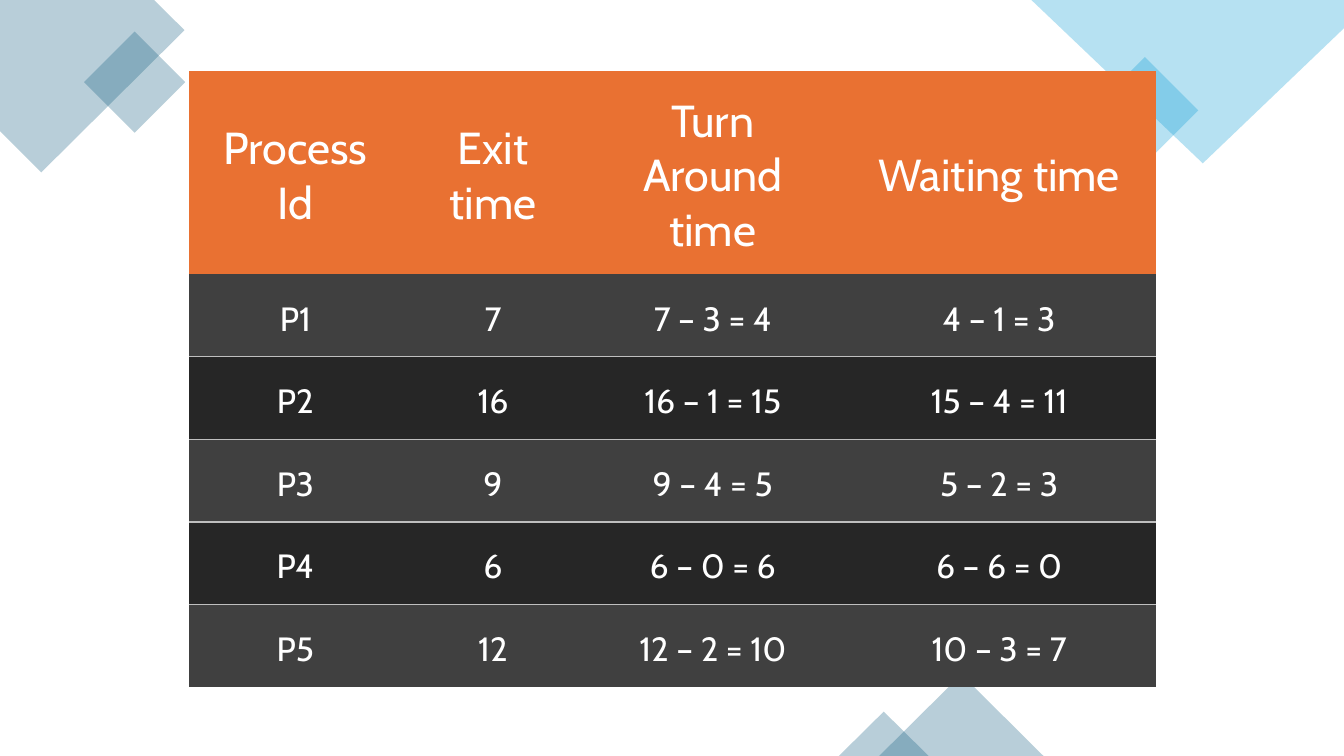
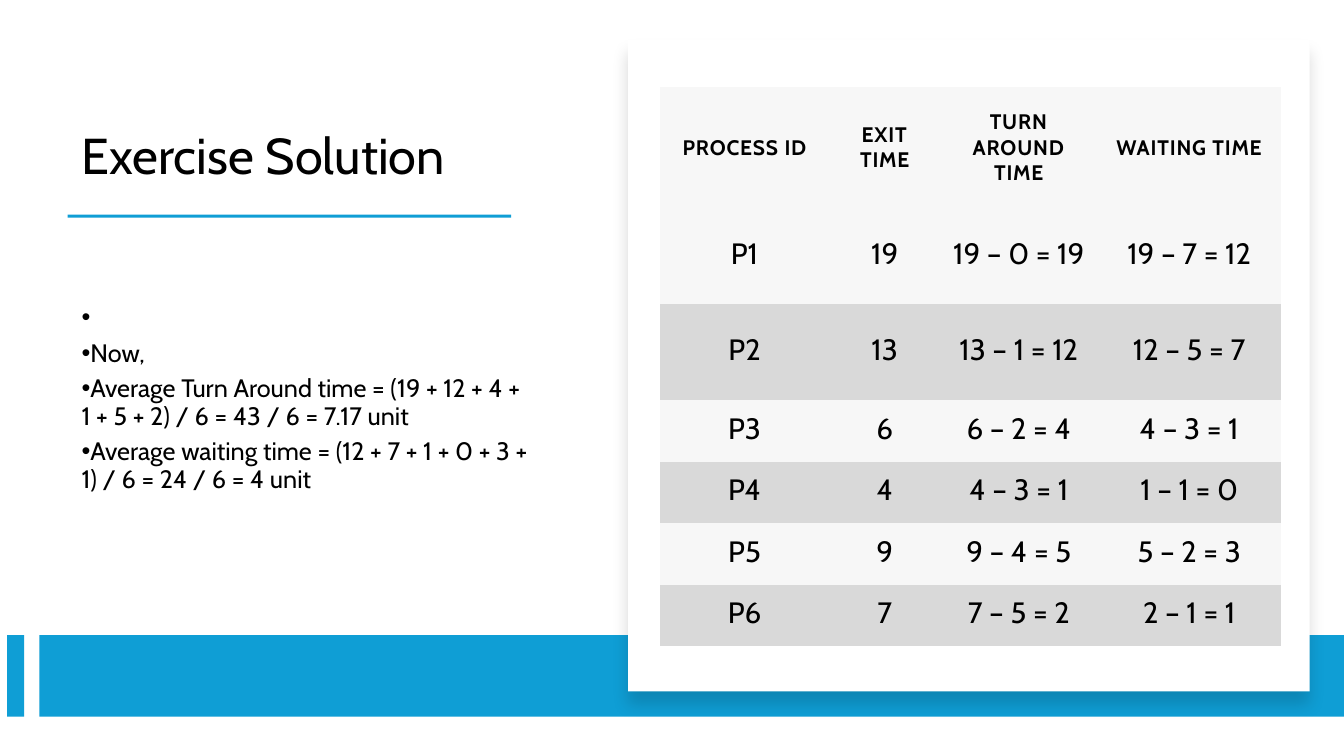
import pptx
import pptx.util
import pptx.dml.color
import pptx.enum.shapes
import pptx.enum.text
import pptx.oxml
import pptx.oxml.ns
from collections import namedtuple

Inches = pptx.util.Inches
Pt = pptx.util.Pt
RGBColor = pptx.dml.color.RGBColor
SHAPE = pptx.enum.shapes.MSO_SHAPE
ALIGN = pptx.enum.text.PP_ALIGN
ANCHOR = pptx.enum.text.MSO_ANCHOR
qn = pptx.oxml.ns.qn

FONT = "Cabin"
WHITE = RGBColor(0xFF, 0xFF, 0xFF)
BLACK = RGBColor(0x00, 0x00, 0x00)
TEAL = RGBColor(0x15, 0x60, 0x82)
BLUE = RGBColor(0x0F, 0x9E, 0xD5)
ORANGE = RGBColor(0xE9, 0x71, 0x32)
DARK_GRAY = RGBColor(0x40, 0x40, 0x40)
DARKER_GRAY = RGBColor(0x26, 0x26, 0x26)
RULE_GRAY = RGBColor(0xBF, 0xBF, 0xBF)
PALE_GRAY = RGBColor(0xF7, 0xF7, 0xF7)
MID_GRAY = RGBColor(0xD9, 0xD9, 0xD9)
NO_STYLE = "{2D5ABB26-0587-4C30-8999-92F81FD0307C}"

Box = namedtuple("Box", "left top width height")
RowStyle = namedtuple("RowStyle", "size color bold spacing margins")

DARK_HEADER = RowStyle(32, WHITE, False, 0, (0.17, 0.2, 0.17, 0.13))
DARK_BODY = DARK_HEADER._replace(size=24)
LIGHT_HEADER = RowStyle(15, BLACK, True, 0.6, (0.19, 0.19, 0.19, 0.19))
LIGHT_BODY = RowStyle(21, BLACK, False, 0, (0.11, 0.09, 0.11, 0.13))

FIRST_RESULTS = [
    ["Process Id", "Exit time", "Turn Around time", "Waiting time"],
    ["P1", "7", "7 – 3 = 4", "4 – 1 = 3"],
    ["P2", "16", "16 – 1 = 15", "15 – 4 = 11"],
    ["P3", "9", "9 – 4 = 5", "5 – 2 = 3"],
    ["P4", "6", "6 – 0 = 6", "6 – 6 = 0"],
    ["P5", "12", "12 – 2 = 10", "10 – 3 = 7"],
]
SECOND_RESULTS = [
    ["PROCESS ID", "EXIT TIME", "TURN AROUND TIME", "WAITING TIME"],
    ["P1", "19", "19 – 0 = 19", "19 – 7 = 12"],
    ["P2", "13", "13 – 1 = 12", "12 – 5 = 7"],
    ["P3", "6", "6 – 2 = 4", "4 – 3 = 1"],
    ["P4", "4", "4 – 3 = 1", "1 – 1 = 0"],
    ["P5", "9", "9 – 4 = 5", "5 – 2 = 3"],
    ["P6", "7", "7 – 5 = 2", "2 – 1 = 1"],
]
AVERAGES = [
    "\u00a0",
    "Now,",
    "Average Turn Around time = (19 + 12 + 4 + 1 + 5 + 2) / 6 = 43 / 6 = 7.17 unit",
    "Average waiting time = (12 + 7 + 1 + 0 + 3 + 1) / 6 = 24 / 6 = 4 unit",
]


def xml(markup):
    """Parse a fragment whose root is in the drawing namespace."""
    head, tail = markup.split(" ", 1)
    return pptx.oxml.parse_xml(f"{head} {pptx.oxml.ns.nsdecls('a')} {tail}")


def inches(box):
    """Turn the numbers of a box into lengths."""
    return [Inches(value) for value in box]


def paint(shape, color, opacity=100):
    """Give a shape a flat fill with no outline or shadow."""
    shape.shadow.inherit = False
    shape.line.fill.background()
    shape.fill.solid()
    shape.fill.fore_color.rgb = color
    if opacity < 100:
        shade = shape.element.find(".//" + qn("a:srgbClr"))
        shade.append(xml(f'<a:alpha val="{opacity * 1000}"/>'))
    return shape


def add_block(page, kind, box, color, opacity=100):
    """Add a painted preset shape."""
    return paint(page.shapes.add_shape(kind, *inches(box)), color, opacity)


def add_outline(page, points, color, opacity):
    """Add a painted polygon through points on the page."""
    corners = [(Inches(x), Inches(y)) for x, y in points]
    builder = page.shapes.build_freeform(*corners[0], scale=1.0)
    builder.add_line_segments(corners[1:], close=True)
    paint(builder.convert_to_shape(), color, opacity)


def add_span(para, text, size, color, bold=False):
    """Add one formatted run."""
    span = para.add_run()
    span.text = text
    span.font.name = FONT
    span.font.size = Pt(size)
    span.font.bold = bold
    span.font.color.rgb = color
    return span


def fill_cell(cell, text, style, color, rules):
    """Write and format one table cell, with rules on the given sides."""
    cell.fill.solid()
    cell.fill.fore_color.rgb = color
    cell.vertical_anchor = ANCHOR.MIDDLE
    (cell.margin_left, cell.margin_top,
     cell.margin_right, cell.margin_bottom) = inches(style.margins)
    para = cell.text_frame.paragraphs[0]
    para.alignment = ALIGN.CENTER
    span = add_span(para, text, style.size, style.color, style.bold)
    if style.spacing:
        span._r.get_or_add_rPr().set("spc", str(round(style.spacing * 100)))
    for side in rules:
        cell._tc.get_or_add_tcPr().insert(0, xml(
            f'<a:ln{side} w="12700"><a:solidFill><a:srgbClr val="{RULE_GRAY}"/>'
            f'</a:solidFill></a:ln{side}>'))


def add_results(page, box, rows, widths, heights, header, body, colors, ruled=False):
    """Add a table with a header row and two alternating row colours."""
    frame = page.shapes.add_table(len(rows), len(widths), *inches(box))
    frame.element.find(".//" + qn("a:tableStyleId")).text = NO_STYLE
    table = frame.table
    table.first_row = table.horz_banding = False
    for column, width in zip(table.columns, widths):
        column.width = Inches(width)
    for index, (texts, height) in enumerate(zip(rows, heights)):
        table.rows[index].height = Inches(height)
        style = body if index else header
        color = colors[2 - index % 2] if index else colors[0]
        if index % 2:
            color = colors[1]
        rules = ""
        if ruled and 0 < index < len(rows) - 1:
            rules = "B" if index % 2 else "T"
        for column, text in enumerate(texts):
            fill_cell(table.cell(index, column), text, style, color, rules)


def add_diamonds(page):
    """Scatter translucent diamonds along the page edges."""
    add_outline(page, [(1.53, 0), (0, 0), (0, 1.3), (0.41, 1.71), (1.83, 0.3)], TEAL, 30)
    for box, color in [(Box(0.98, 0.46, 0.71, 0.71), TEAL),
                       (Box(10.98, 0.72, 0.75, 0.75), BLUE)]:
        add_block(page, SHAPE.RECTANGLE, box, color, 30).rotation = 45
    add_outline(page, [(13.33, 0), (10.23, 0), (11.93, 1.62), (13.33, 0.28)], BLUE, 30)
    for box in [Box(8.72, 6.69, 1.63, 0.81), Box(8.32, 7.06, 0.89, 0.44)]:
        add_block(page, SHAPE.ISOSCELES_TRIANGLE, box, TEAL, 30)


def place_text(holder, box, anchor):
    """Move a placeholder and return its text frame."""
    holder.left, holder.top, holder.width, holder.height = inches(box)
    frame = holder.text_frame
    frame.word_wrap = True
    frame.auto_size = pptx.enum.text.MSO_AUTO_SIZE.NONE
    frame.vertical_anchor = anchor
    return frame


def add_heading(page, box, text):
    """Fill the title and underline it."""
    frame = place_text(page.shapes.title, box, ANCHOR.BOTTOM)
    para = frame.paragraphs[0]
    para.alignment = ALIGN.LEFT
    para.line_spacing = 0.9
    add_span(para, text, 36, BLACK)
    rule = Box(box.left - 0.04, box.top + box.height + 0.24, 4.4, 0.03)
    add_block(page, SHAPE.RECTANGLE, rule, BLUE)


def add_bullets(page, box, lines):
    """Fill the body placeholder with a bulleted list."""
    frame = place_text(page.placeholders[1], box, ANCHOR.MIDDLE)
    for index, line in enumerate(lines):
        para = frame.add_paragraph() if index else frame.paragraphs[0]
        para.alignment = ALIGN.LEFT
        para.line_spacing = 0.9
        para.space_before = Pt(0)
        para.space_after = Pt(6)
        props = para._p.get_or_add_pPr()
        props.set("marL", "0")
        props.set("indent", str(-Inches(0.25)))
        props.append(xml('<a:buChar char="•"/>'))
        add_span(para, line, 18, BLACK)


def add_card(page, box):
    """Add a white card with a soft shadow below it."""
    card = add_block(page, SHAPE.RECTANGLE, box, WHITE)
    card.element.spPr.find(qn("a:effectLst")).append(xml(
        f'<a:outerShdw blurRad="{Pt(11)}" dist="{Pt(10)}" dir="5400000" algn="t" '
        f'rotWithShape="0"><a:srgbClr val="{BLACK}"><a:alpha val="15000"/>'
        '</a:srgbClr></a:outerShdw>'))


def add_band(page, box):
    """Add the footer band with its detached left end."""
    add_block(page, SHAPE.RECTANGLE, box._replace(width=0.17), BLUE)
    offset = 0.32
    add_block(page, SHAPE.RECTANGLE,
              box._replace(left=box.left + offset, width=box.width - offset), BLUE)


def build_table_slide(deck):
    """Build the slide with a dark table among diamonds."""
    page = deck.slides.add_slide(deck.slide_layouts[6])
    add_diamonds(page)
    add_results(page, Box(1.87, 0.7, 9.6, 6.12), FIRST_RESULTS,
                [2.12, 1.8, 2.56, 3.12], [2.02] + [0.82] * 5,
                DARK_HEADER, DARK_BODY, (ORANGE, DARK_GRAY, DARKER_GRAY), ruled=True)


def build_solution_slide(deck):
    """Build the slide with averages beside a table on a card."""
    page = deck.slides.add_slide(deck.slide_layouts[1])
    add_heading(page, Box(0.71, 0.58, 4.68, 1.31), "Exercise Solution")
    add_bullets(page, Box(0.71, 2.22, 4.68, 3.48), AVERAGES)
    add_band(page, Box(0.07, 6.3, 13.26, 0.81))
    add_card(page, Box(6.23, 0.39, 6.76, 6.47))
    add_results(page, Box(6.55, 0.86, 6.16, 5.55), SECOND_RESULTS,
                [1.67, 1.11, 1.55, 1.83], [1.21] + [0.95] * 2 + [0.61] * 4,
                LIGHT_HEADER, LIGHT_BODY, (PALE_GRAY, PALE_GRAY, MID_GRAY))


def main():
    """Build and save the deck."""
    deck = pptx.Presentation()
    deck.slide_width, deck.slide_height = Inches(13.33), Inches(7.5)
    build_table_slide(deck)
    build_solution_slide(deck)
    deck.save("out.pptx")


if __name__ == "__main__":
    main()
